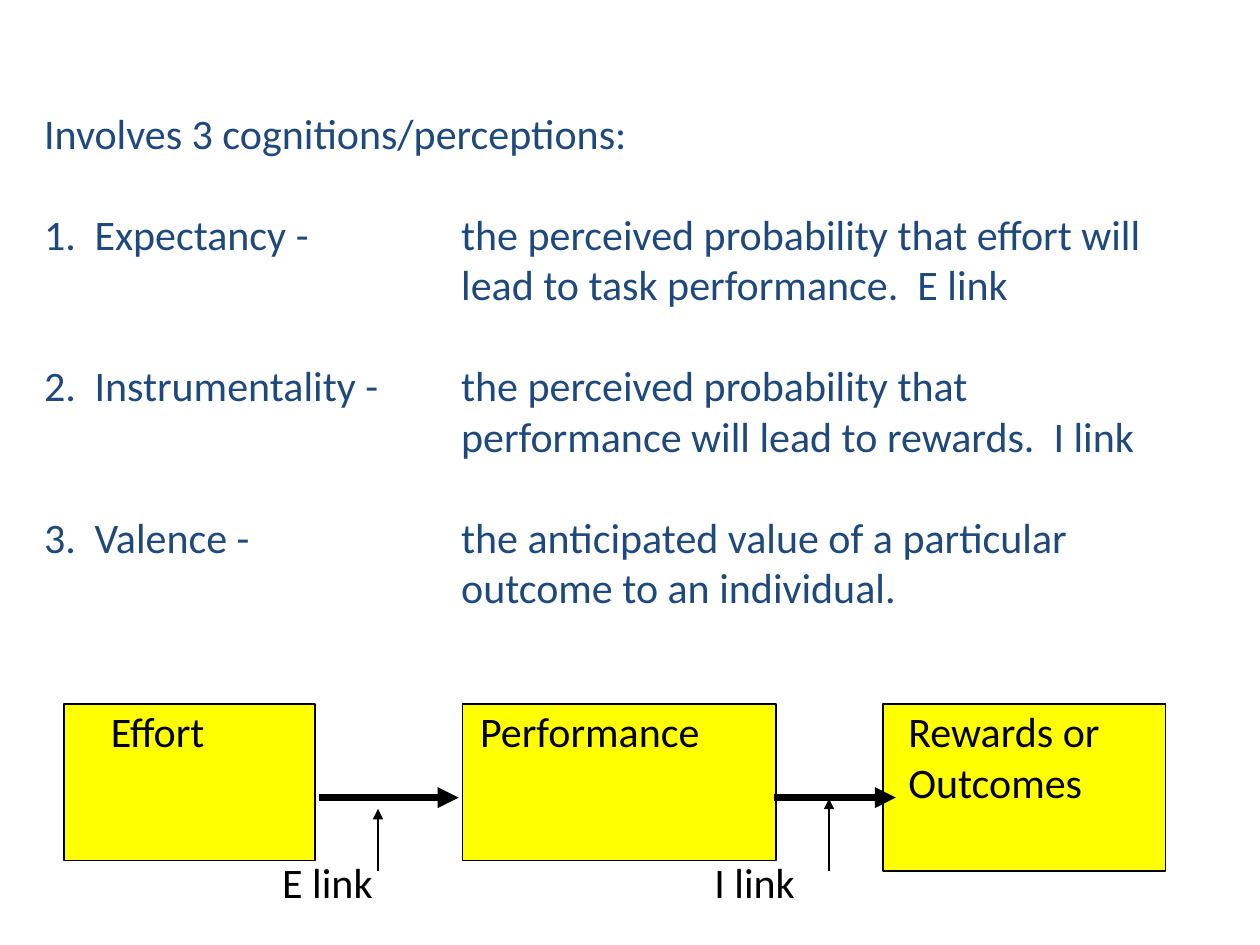
from dataclasses import dataclass

from lxml.etree import SubElement as Sub
from pptx import Presentation
from pptx.dml.color import RGBColor
from pptx.enum.shapes import MSO_CONNECTOR as Conn, MSO_SHAPE as Kind
from pptx.enum.text import MSO_ANCHOR as Anchor, MSO_AUTO_SIZE as Auto, PP_ALIGN as Align
from pptx.oxml.ns import qn
from pptx.util import Emu, Inches, Pt

COLS, ROWS = 100, 75
WIDE, HIGH = Inches(10), Inches(7.5)
NAVY, BLACK, GOLD = "1F497D", "000000", "FFFF00"
LINE = 28.9
STEP = 4.01


@dataclass
class Box:
    text: str
    left: float
    width: float
    height: float
    inset: float


@dataclass
class Arrow:
    start: tuple[float, float]
    end: tuple[float, float]
    weight: float


@dataclass
class Term:
    name: str
    text: str


@dataclass
class Label:
    text: str
    left: float


TERMS = [
    Term("Expectancy -", "the perceived probability that effort will\vlead to task performance.  E link"),
    Term("Instrumentality -", "the perceived probability that\vperformance will lead to rewards.  I link"),
    Term("Valence -", "the anticipated value of a particular\voutcome to an individual."),
]
BOXES = [
    Box("Effort", 5.1, 19.9, 12.4, 3.7),
    Box("Performance", 36.7, 24.9, 12.4, 1.4),
    Box("Rewards or\vOutcomes", 70.1, 22.4, 13.2, 2),
]
ARROWS = [
    Arrow((25.3, 63.3), (36.4, 63.3), 4),
    Arrow((61.4, 63.3), (71.1, 63.3), 4),
    Arrow((30, 69.1), (30, 64.2), 1),
    Arrow((65.8, 69.1), (65.8, 63.4), 1),
]
LABELS = [Label("E link", 22.4), Label("I link", 56.7)]
BOX_TOP = 55.9
LABEL_TOP = 68


def col(n: float) -> Emu:
    return Emu(round(WIDE * n / COLS))


def row(n: float) -> Emu:
    return Emu(round(HIGH * n / ROWS))


def hue(code: str) -> RGBColor:
    return RGBColor.from_string(code)


def place(shape, left: float, top: float, width: float, height: float) -> None:
    shape.left, shape.top = col(left), row(top)
    shape.width, shape.height = col(width), row(height)


def write(shape, lines: list[str], *, color: str = BLACK, left: float = 0,
          head: float = 0, gap: float = 0, count: bool = False) -> None:
    frame = shape.text_frame
    frame.word_wrap, frame.auto_size = True, Auto.NONE
    frame.vertical_anchor = Anchor.TOP
    frame.margin_left, frame.margin_top = col(left), row(head)
    frame.margin_right = frame.margin_bottom = 0
    frame.text = "\n".join(lines)
    for i, para in enumerate(frame.paragraphs):
        props = para._p.get_or_add_pPr()
        if count:
            props.set("marL", str(col(4)))
            props.set("indent", str(-col(4)))
            Sub(props, qn("a:buFont"), typeface="Calibri")
            Sub(props, qn("a:buAutoNum"), type="arabicPeriod")
        para.alignment = Align.LEFT
        para.space_before = Pt(gap if i else 0)
        para.font.name, para.font.size = "Calibri", Pt(24)
        para.font.color.rgb = hue(color)


def draw_box(slide, box: Box) -> None:
    shape = slide.shapes.add_shape(
        Kind.RECTANGLE, col(box.left), row(BOX_TOP), col(box.width), row(box.height))
    shape.shadow.inherit = False
    shape.fill.solid()
    shape.fill.fore_color.rgb = hue(GOLD)
    shape.line.color.rgb = hue(BLACK)
    shape.line.width = Pt(1)
    write(shape, [box.text], left=box.inset, head=0.1)


def draw_arrow(slide, arrow: Arrow) -> None:
    (x1, y1), (x2, y2) = arrow.start, arrow.end
    line = slide.shapes.add_connector(Conn.STRAIGHT, col(x1), row(y1), col(x2), row(y2))
    line.line.color.rgb = hue(BLACK)
    line.line.width = Pt(arrow.weight)
    Sub(line.line._get_or_add_ln(), qn("a:tailEnd"), type="triangle")
    Sub(line._element.spPr, qn("a:effectLst"))


def add_text(slide, lines: list[str], left: float, top: float,
             width: float, height: float, **form) -> None:
    shape = slide.shapes.add_textbox(col(left), row(top), col(width), row(height))
    write(shape, lines, **form)


def main() -> None:
    deck = Presentation()
    deck.slide_width, deck.slide_height = WIDE, HIGH
    slide = deck.slides.add_slide(deck.slide_layouts[1])
    title, body = slide.shapes.title, slide.placeholders[1]
    place(title, 2.5, 2 * STEP, 94.2, 5)
    write(title, ["Involves 3 cognitions/perceptions:"], color=NAVY, left=1, head=0.5)
    place(body, 2.5, 4 * STEP, 33, 33.5)
    write(body, [t.name for t in TERMS], color=NAVY, left=1, head=0.5, gap=2 * LINE, count=True)
    add_text(slide, [t.text for t in TERMS], 36.6, 4 * STEP, 60.1, 33.5,
             color=NAVY, head=0.5, gap=LINE)
    for box in BOXES:
        draw_box(slide, box)
    for arrow in ARROWS:
        draw_arrow(slide, arrow)
    for label in LABELS:
        add_text(slide, [label.text], label.left, LABEL_TOP, 10, 4.5)
    deck.save("out.pptx")


if __name__ == "__main__":
    main()
